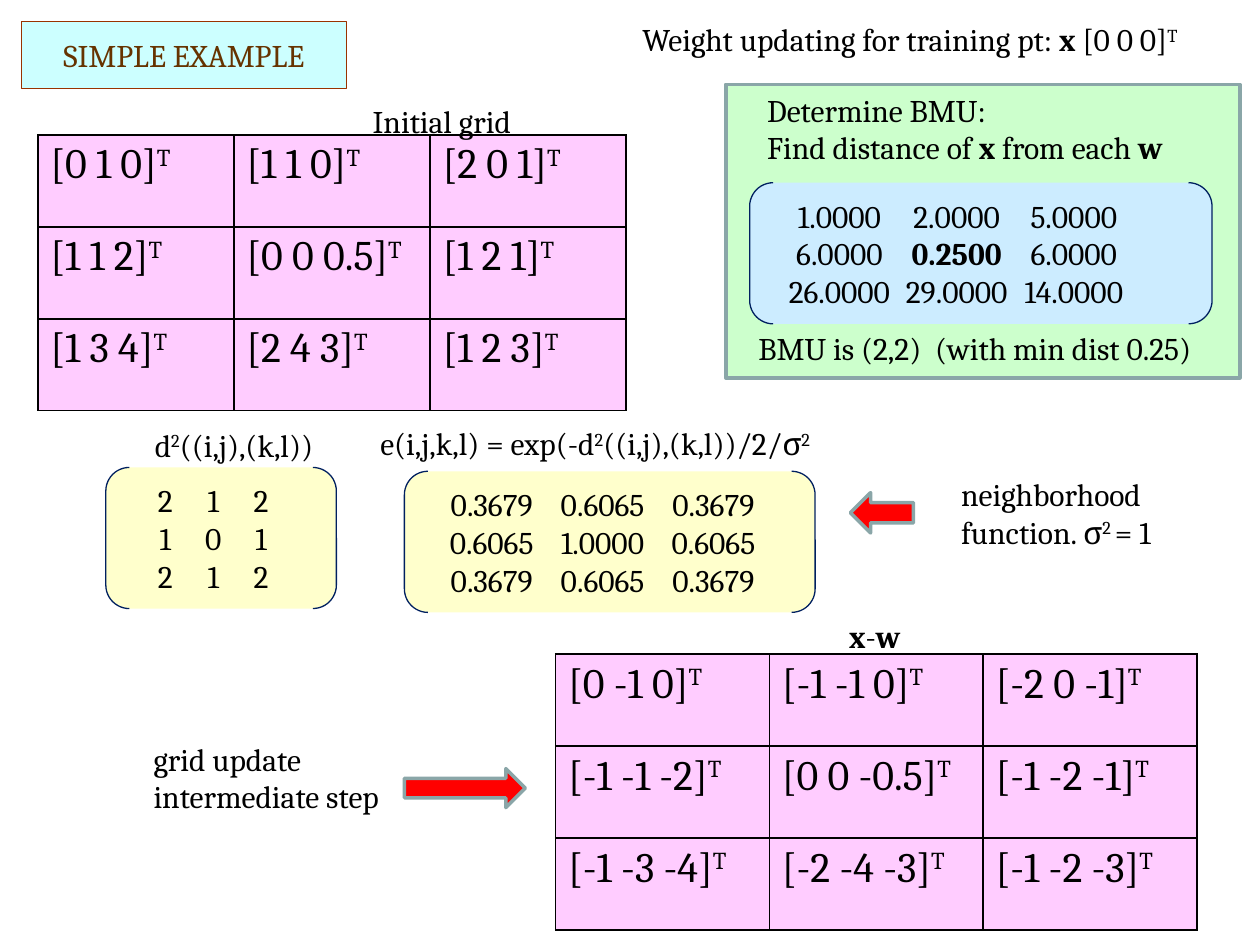
from dataclasses import dataclass

from lxml.etree import SubElement
from pptx import Presentation
from pptx.dml.color import RGBColor
from pptx.enum.shapes import MSO_SHAPE as Preset
from pptx.enum.text import MSO_ANCHOR as Anchor, MSO_AUTO_SIZE as AutoSize, PP_ALIGN as Align
from pptx.oxml.ns import qn
from pptx.util import Emu, Inches, Pt


@dataclass(frozen=True)
class Theme:
    """Colours, font and type sizes of the slide."""
    font: str = "Cambria"
    body: int = 18
    cell: int = 24
    ink: str = "000000"
    title_ink: str = "663300"
    title_fill: str = "CCFFFF"
    title_line: str = "993300"
    grid_fill: str = "FFCCFF"
    panel_fill: str = "CCFFCC"
    distance_fill: str = "CCECFF"
    matrix_fill: str = "FFFFCC"
    bracket_line: str = "002060"
    edge: str = "8AA6A8"
    arrow: str = "FF0000"


THEME = Theme()
BOLD, SUPER = "bold", "super"
TRANSPOSE = ("T", SUPER)
SQUARED = ("2", SUPER)


def rgb(code):
    """Turn a hex code into a colour."""
    return RGBColor.from_string(code)


def box(left, top, width, height):
    """Give a position and size in inches."""
    return [Inches(value) for value in (left, top, width, height)]


def add_runs(paragraph, pieces, size=THEME.body, ink=THEME.ink):
    """Add plain strings and (text, style) pairs as runs."""
    for piece in pieces:
        text, style = (piece, None) if isinstance(piece, str) else piece
        run = paragraph.add_run()
        run.text = text
        run.font.name = THEME.font
        run.font.size = Pt(size)
        run.font.color.rgb = rgb(ink)
        if style == BOLD:
            run.font.bold = True
        elif style == SUPER:
            run.font._element.set("baseline", "30000")


def fill_lines(frame, lines, tabs=()):
    """Write one paragraph per line, with centred tab stops if given."""
    for index, pieces in enumerate(lines):
        paragraph = frame.add_paragraph() if index else frame.paragraphs[0]
        paragraph.alignment = Align.LEFT
        if tabs:
            stops = SubElement(paragraph._p.get_or_add_pPr(), qn("a:tabLst"))
            for stop in tabs:
                SubElement(stops, qn("a:tab"), pos=str(Inches(stop)), algn="ctr")
        add_runs(paragraph, pieces)


def paint(shape, fill, line, width):
    """Set fill and outline."""
    shape.fill.solid()
    shape.fill.fore_color.rgb = rgb(fill)
    shape.line.color.rgb = rgb(line)
    shape.line.width = Pt(width)


def add_preset(shapes, preset, place, fill, line=THEME.edge, width=2):
    """Add a flat preset shape."""
    shape = shapes.add_shape(preset, *box(*place))
    shape.shadow.inherit = False
    paint(shape, fill, line, width)
    return shape


def add_label(shapes, place, *lines, wrap=False):
    """Add a text box that grows with its lines."""
    frame = shapes.add_textbox(*box(*place)).text_frame
    frame.word_wrap = wrap
    frame.auto_size = AutoSize.SHAPE_TO_FIT_TEXT
    fill_lines(frame, lines)


def add_matrix(shapes, place, fill, rows, first, step):
    """Add a bracketed matrix with evenly spaced columns."""
    bracket = add_preset(shapes, Preset.DOUBLE_BRACKET, place, fill, THEME.bracket_line, 0.75)
    frame = bracket.text_frame
    frame.word_wrap = True
    frame.auto_size = AutoSize.SHAPE_TO_FIT_TEXT
    lines = []
    for row in rows:
        pieces = []
        for value in row:
            pieces += ["\t" + value] if isinstance(value, str) else ["\t", value]
        lines.append(pieces)
    fill_lines(frame, lines, [first + step * column for column in range(len(rows[0]))])


def style_cell(cell):
    """Give a cell thin black borders and the grid fill."""
    properties = cell._tc.get_or_add_tcPr()
    for side in ("lnL", "lnR", "lnT", "lnB"):
        border = SubElement(properties, qn(f"a:{side}"), w=str(Pt(1)))
        SubElement(SubElement(border, qn("a:solidFill")), qn("a:srgbClr"), val=THEME.ink)
    cell.fill.solid()
    cell.fill.fore_color.rgb = rgb(THEME.grid_fill)


def add_vector_grid(shapes, place, vectors):
    """Add a table of transposed vectors."""
    table = shapes.add_table(len(vectors), len(vectors[0]), *box(*place)).table
    table.first_row = table.horz_banding = False
    for row, height in zip(table.rows, [place[3] / len(vectors)] * len(vectors)):
        row.height = Emu(Inches(height))
    for cells, row in zip(table.rows, vectors):
        for cell, vector in zip(cells.cells, row):
            style_cell(cell)
            add_runs(cell.text_frame.paragraphs[0], [f"[{vector}]", TRANSPOSE], THEME.cell)


def add_title(slide, text):
    """Place and format the title placeholder."""
    title = slide.shapes.title
    title.left, title.top, title.width, title.height = box(0.17, 0.17, 2.58, 0.53)
    paint(title, THEME.title_fill, THEME.title_line, 0.75)
    frame = title.text_frame
    frame.auto_size = AutoSize.NONE
    frame.vertical_anchor = Anchor.MIDDLE
    frame.paragraphs[0].alignment = Align.CENTER
    add_runs(frame.paragraphs[0], [text], ink=THEME.title_ink)


def add_bmu_panel(shapes):
    """Group the search for the best matching unit."""
    panel = shapes.add_group_shape().shapes
    add_preset(panel, Preset.RECTANGLE, (5.76, 0.67, 4.08, 2.33), THEME.panel_fill)
    add_label(panel, (5.99, 0.67, 3.63, 0.71), ["Determine BMU:"],
              ["Find distance of ", ("x", BOLD), " from each ", ("w", BOLD)])
    distances = [["1.0000", "2.0000", "5.0000"],
                 ["6.0000", ("0.2500", BOLD), "6.0000"],
                 ["26.0000", "29.0000", "14.0000"]]
    add_matrix(panel, (5.95, 1.45, 3.67, 1.12), THEME.distance_fill, distances, 0.56, 0.93)
    add_label(panel, (5.92, 2.56, 3.88, 0.4), ["BMU is (2,2)  (with min dist 0.25)"])


def add_neighborhood(shapes):
    """Group each neighborhood matrix with its formula."""
    squares = shapes.add_group_shape().shapes
    add_matrix(squares, (0.84, 3.71, 1.83, 1.12), THEME.matrix_fill,
               ["212", "101", "212"], 0.32, 0.38)
    add_label(squares, (1.13, 3.33, 1.48, 0.4), ["d", SQUARED, "((i,j),(k,l))"])

    weights = shapes.add_group_shape().shapes
    outer, middle = ["0.3679", "0.6065", "0.3679"], ["0.6065", "1.0000", "0.6065"]
    add_matrix(weights, (3.21, 3.74, 3.26, 1.12), THEME.matrix_fill,
               [outer, middle, outer], 0.54, 0.88)
    add_label(weights, (2.92, 3.32, 3.83, 0.4),
              ["e(i,j,k,l) = exp(-d", SQUARED, "((i,j),(k,l))/2/σ", SQUARED])


def main():
    """Build the slide and save it."""
    deck = Presentation()
    deck.slide_width, deck.slide_height = Inches(10), Inches(7.5)
    slide = deck.slides.add_slide(deck.slide_layouts[5])
    shapes = slide.shapes

    add_title(slide, "SIMPLE EXAMPLE")
    add_vector_grid(shapes, (0.3, 1.07, 4.67, 2.19),
                    [["0 1 0", "1 1 0", "2 0 1"],
                     ["1 1 2", "0 0 0.5", "1 2 1"],
                     ["1 3 4", "2 4 3", "1 2 3"]])
    add_label(shapes, (5, 0.11, 4.84, 0.4),
              ["Weight updating for training pt: ", ("x", BOLD), " [0 0 0]", TRANSPOSE])
    add_vector_grid(shapes, (4.41, 5.19, 5.09, 2.19),
                    [["0 -1 0", "-1 -1 0", "-2 0 -1"],
                     ["-1 -1 -2", "0 0 -0.5", "-1 -2 -1"],
                     ["-1 -3 -4", "-2 -4 -3", "-1 -2 -3"]])
    add_bmu_panel(shapes)
    add_neighborhood(shapes)
    add_label(shapes, (6.64, 4.85, 0.63, 0.4), [("x", BOLD), "-", ("w", BOLD)])
    add_label(shapes, (2.86, 0.76, 1.4, 0.4), ["Initial grid"])
    add_label(shapes, (7.53, 3.72, 2.05, 0.71),
              ["neighborhood function. σ", ("2 ", SUPER), "= 1"], wrap=True)
    add_preset(shapes, Preset.LEFT_ARROW, (6.75, 3.91, 0.5, 0.32), THEME.arrow)
    add_label(shapes, (1.12, 5.82, 2.05, 0.71), ["grid update intermediate step"], wrap=True)
    add_preset(shapes, Preset.RIGHT_ARROW, (3.21, 6.1, 0.96, 0.31), THEME.arrow)
    deck.save("out.pptx")


if __name__ == "__main__":
    main()
